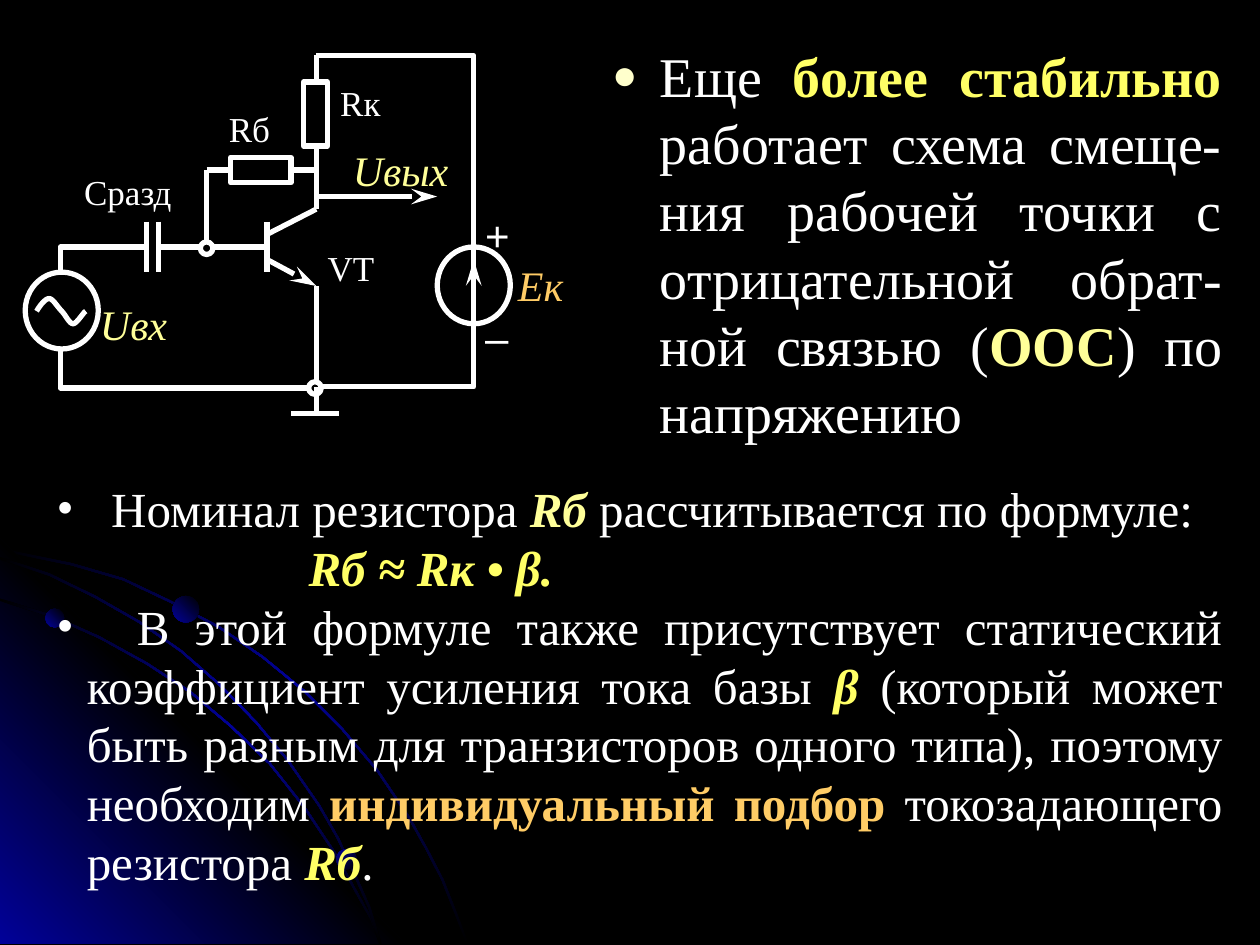
from typing import NamedTuple, Optional

from lxml import etree
from pptx import Presentation
from pptx import util as u
from pptx.dml.color import RGBColor
from pptx.enum import shapes, text
from pptx.oxml import parse_xml
from pptx.oxml.ns import nsdecls, qn

COLORS = {"black": "000000", "white": "FFFFFF", "blue": "010199", "yellow": "FFFF66",
          "pale": "FFFF99", "orange": "FFCC66", "cream": "FFFFCC"}
SERIF = "Times New Roman"
LEFT, CENTER, JUSTIFY = text.PP_ALIGN.LEFT, text.PP_ALIGN.CENTER, text.PP_ALIGN.JUSTIFY
OVAL, RECTANGLE = shapes.MSO_SHAPE.OVAL, shapes.MSO_SHAPE.RECTANGLE


class Part(NamedTuple):
    kind: shapes.MSO_SHAPE
    box: tuple
    fill: Optional[str] = None


class Wire(NamedTuple):
    start: tuple
    end: tuple
    arrow: bool = False


class Label(NamedTuple):
    words: str
    box: tuple
    color: str = "white"
    size: int = 20
    align: text.PP_ALIGN = LEFT
    font: str = SERIF
    italic: bool = False


class Run(NamedTuple):
    words: str
    color: str = "white"
    bold: bool = False
    italic: bool = False


class Item(NamedTuple):
    runs: list
    margin: float
    bullet: str = ""
    bullet_color: str = "white"
    bullet_size: int = 100
    hanging: bool = True


# Upper edges of the glowing bands in the lower left corner
BANDS = [
    [(0, 4.35), (0.28, 4.41), (0.57, 4.47), (0.98, 4.59), (1.36, 4.77), (1.74, 4.97),
     (2.09, 5.21), (2.42, 5.48), (2.72, 5.78), (3, 6.11), (3.25, 6.48), (3.39, 6.73),
     (3.52, 6.98), (3.62, 7.23), (3.72, 7.49)],
    [(0, 4.75), (0.41, 4.88), (0.79, 5.05), (1.17, 5.26), (1.52, 5.49), (1.84, 5.76),
     (2.15, 6.06), (2.42, 6.4), (2.66, 6.76), (2.86, 7.12), (2.96, 7.3), (3.03, 7.49)],
    [(0, 4.42), (0.39, 4.55), (0.76, 4.73), (1.11, 4.93), (1.44, 5.16), (1.75, 5.43),
     (2.04, 5.73), (2.29, 6.03), (2.54, 6.39), (2.69, 6.65), (2.82, 6.93), (2.94, 7.2),
     (3.03, 7.49)],
]
CORNER = [(3.22, 7.49), (0, 7.49), (0, 4.27)]
GLOWS = [((0.36, 4.83, 0.15, 0.15), 135), ((2.67, 6.74, 0.16, 0.16), 225),
         ((1.37, 4.73, 0.21, 0.21), 135)]

PATHS = [
    [(0.48, 2.77), (0.48, 3.08), (2.51, 3.08)],
    [(0.48, 2.16), (0.48, 1.96), (1.16, 1.96)],
    [(2.51, 0.44), (3.76, 0.44), (3.76, 3.07), (2.51, 3.07)],
]
SINE = [(0.29, 2.47), (0.32, 2.42), (0.36, 2.37), (0.39, 2.37), (0.42, 2.37), (0.45, 2.43),
        (0.49, 2.47), (0.52, 2.5), (0.55, 2.57), (0.58, 2.57), (0.61, 2.57), (0.66, 2.48),
        (0.68, 2.47)]
WIRES = [
    Wire((1.16, 1.76), (1.16, 2.16)), Wire((1.26, 1.76), (1.26, 2.16)),
    Wire((2.12, 1.76), (2.12, 2.16)), Wire((2.12, 1.86), (2.51, 1.66)),
    Wire((2.12, 2.06), (2.51, 2.27), True), Wire((2.51, 0.65), (2.51, 0.44)),
    Wire((2.51, 1.15), (2.51, 1.66)), Wire((2.51, 2.27), (2.51, 3.07)),
    Wire((3.76, 2.57), (3.76, 2.06), True), Wire((1.26, 1.96), (2.12, 1.96)),
    Wire((1.64, 1.35), (1.64, 1.97)), Wire((1.64, 1.35), (1.83, 1.35)),
    Wire((2.31, 1.35), (2.51, 1.35)), Wire((2.51, 1.56), (3.47, 1.56), True),
]
PARTS = [
    Part(OVAL, (0.2, 2.16, 0.58, 0.61)), Part(OVAL, (3.47, 1.96, 0.58, 0.61)),
    Part(RECTANGLE, (2.41, 0.65, 0.19, 0.51)), Part(RECTANGLE, (1.83, 1.25, 0.48, 0.2)),
    Part(OVAL, (1.59, 1.92, 0.1, 0.1), "black"), Part(OVAL, (2.45, 3.03, 0.1, 0.1), "black"),
]
GROUND = [Wire((2.51, 3.28), (2.51, 3.07)), Wire((2.31, 3.28), (2.69, 3.28))]
LABELS = [
    Label("Сразд", (0.58, 1.35, 0.87, 0.4), align=CENTER),
    Label("Rк", (2.7, 0.65, 0.38, 0.4)),
    Label("VT", (2.6, 1.96, 0.48, 0.4)),
    Label("Rб", (1.74, 0.85, 0.48, 0.4), align=CENTER),
    Label("Eк", (4.05, 2.06, 0.48, 0.41), "orange", 24, CENTER, italic=True),
    Label("Uвх", (0.77, 2.37, 0.58, 0.4), "pale", 24, CENTER, italic=True),
    Label("Uвых", (2.8, 1.15, 0.77, 0.41), "pale", 24, italic=True),
    Label("+", (3.85, 1.66, 0.39, 0.4), size=24, font="Arial"),
    Label("–", (3.85, 2.47, 0.39, 0.4), size=24, font="Arial"),
]
SUMMARY = [Item([
    Run("Еще "), Run("более стабильно", "yellow", True),
    Run(" работает схема смеще-ния рабочей точки с отрицательной обрат-ной связью ("),
    Run("ООС", "pale", True), Run(") по напряжению "),
], 0.38, "●", "cream", 75)]
DETAILS = [
    Item([Run("  Номинал резистора "), Run("Rб ", "pale", True, True),
          Run("рассчитывается по формуле:")], 0.24, "•"),
    Item([Run("Rб ≈ Rк • β. ", "yellow", True, True)], 2, hanging=False),
    Item([Run("  В этой формуле также присутствует статический коэффициент усиления тока базы "),
          Run("β ", "yellow", True, True),
          Run("(который может быть разным для транзисторов одного типа), поэтому необходим "),
          Run("индивидуальный подбор", "orange", True), Run(" токозадающего резистора "),
          Run("Rб", "yellow", True, True), Run(".")], 0.24, "•"),
]


def rgb(name: str) -> RGBColor:
    return RGBColor.from_string(COLORS[name])


def inches(values: tuple) -> list:
    return [u.Inches(value) for value in values]


def fill_gradient(shape, names: list, angle: int) -> None:
    """Fill with evenly spaced colours; the angle runs clockwise."""
    shape.shadow.inherit = False
    shape.line.fill.background()
    stops = "".join(
        f'<a:gs pos="{100000 * i // (len(names) - 1)}"><a:srgbClr val="{COLORS[name]}"/></a:gs>'
        for i, name in enumerate(names))
    shape._element.spPr.find(qn("a:custGeom") if shape.shape_type == shapes.MSO_SHAPE_TYPE.FREEFORM
                             else qn("a:prstGeom")).addnext(parse_xml(
        f'<a:gradFill rotWithShape="1" {nsdecls("a")}><a:gsLst>{stops}</a:gsLst>'
        f'<a:lin ang="{angle * 60000}" scaled="0"/></a:gradFill>'))


def outline(shape) -> None:
    shape.line.color.rgb = rgb("white")
    shape.line.width = u.Pt(3)


def freeform(slide, points: list, close: bool):
    builder = slide.shapes.build_freeform(*inches(points[0]), scale=1.0)
    builder.add_line_segments([inches(point) for point in points[1:]], close=close)
    return builder.convert_to_shape()


def draw_band(slide, edge: list, width: float = 0.02) -> None:
    """Close an edge with a parallel one, offset down at the start and left at the end."""
    last = len(edge) - 1
    inner = [(x - width * i / last, y + width * (1 - i / last)) for i, (x, y) in enumerate(edge)]
    fill_gradient(freeform(slide, edge + inner[::-1], True), ["black", "blue", "black"], 225)


def bezier_points(controls: list, steps: int = 8) -> list:
    """Sample a chain of cubic curves."""
    points = [controls[0]]
    for first in range(0, len(controls) - 1, 3):
        a, b, c, d = controls[first:first + 4]
        for t in (step / steps for step in range(1, steps + 1)):
            s = 1 - t
            points.append(tuple(s**3 * a[k] + 3 * s * s * t * b[k] + 3 * s * t * t * c[k]
                                + t**3 * d[k] for k in (0, 1)))
    return points


def draw_path(slide, points: list) -> None:
    shape = freeform(slide, points, False)
    shape.shadow.inherit = False
    shape.fill.background()
    outline(shape)


def draw_wire(slide, wire: Wire) -> None:
    line = slide.shapes.add_connector(shapes.MSO_CONNECTOR.STRAIGHT,
                                      *inches(wire.start + wire.end))
    outline(line)
    if wire.arrow:
        etree.SubElement(line.line._get_or_add_ln(), qn("a:tailEnd"), type="stealth", len="lg")
    etree.SubElement(line._element.spPr, qn("a:effectLst"))


def draw_part(slide, part: Part) -> None:
    shape = slide.shapes.add_shape(part.kind, *inches(part.box))
    shape.shadow.inherit = False
    if part.fill:
        shape.fill.solid()
        shape.fill.fore_color.rgb = rgb(part.fill)
    else:
        shape.fill.background()
    outline(shape)


def add_run(paragraph, run: Run, size: int, font: str = SERIF) -> None:
    piece = paragraph.add_run()
    piece.text = run.words
    piece.font.name, piece.font.size = font, u.Pt(size)
    piece.font.bold, piece.font.italic = run.bold, run.italic
    piece.font.color.rgb = rgb(run.color)


def draw_label(slide, label: Label) -> None:
    frame = slide.shapes.add_textbox(*inches(label.box)).text_frame
    frame.word_wrap = True
    frame.margin_left = frame.margin_right = frame.margin_top = frame.margin_bottom = 0
    frame.paragraphs[0].alignment = label.align
    add_run(frame.paragraphs[0], Run(label.words, label.color, italic=label.italic),
            label.size, label.font)


def draw_items(slide, box: tuple, items: list, size: int) -> None:
    frame = slide.shapes.add_textbox(*inches(box)).text_frame
    frame.word_wrap = True
    for i, item in enumerate(items):
        paragraph = frame.add_paragraph() if i else frame.paragraphs[0]
        paragraph.alignment = JUSTIFY
        properties = paragraph._p.get_or_add_pPr()
        properties.set("marL", str(u.Inches(item.margin)))
        properties.set("indent", str(-u.Inches(item.margin) if item.hanging else 0))
        if item.bullet:
            color = etree.SubElement(properties, qn("a:buClr"))
            etree.SubElement(color, qn("a:srgbClr"), val=COLORS[item.bullet_color])
            etree.SubElement(properties, qn("a:buSzPct"), val=str(item.bullet_size * 1000))
            etree.SubElement(properties, qn("a:buFont"), typeface=SERIF)
            etree.SubElement(properties, qn("a:buChar"), char=item.bullet)
        for run in item.runs:
            add_run(paragraph, run, size)


def main() -> None:
    presentation = Presentation()
    presentation.slide_width, presentation.slide_height = u.Inches(10), u.Inches(7.5)
    slide = presentation.slides.add_slide(presentation.slide_layouts[6])
    slide.background.fill.solid()
    slide.background.fill.fore_color.rgb = rgb("black")

    draw_band(slide, BANDS[0])
    fill_gradient(freeform(slide, CORNER, True), ["blue", "black", "blue"], 135)
    for edge in BANDS[1:]:
        draw_band(slide, edge)
    for box, angle in GLOWS:
        fill_gradient(slide.shapes.add_shape(OVAL, *inches(box)), ["black", "blue"], angle)

    for points in PATHS + [bezier_points(SINE)]:
        draw_path(slide, points)
    for wire in WIRES:
        draw_wire(slide, wire)
    for part in PARTS:
        draw_part(slide, part)
    for wire in GROUND:
        draw_wire(slide, wire)
    for label in LABELS:
        draw_label(slide, label)
    draw_items(slide, (4.76, 0.28, 5.04, 3.47), SUMMARY, 32)
    draw_items(slide, (0.35, 3.75, 9.45, 3.37), DETAILS, 28)
    presentation.save("out.pptx")


if __name__ == "__main__":
    main()
